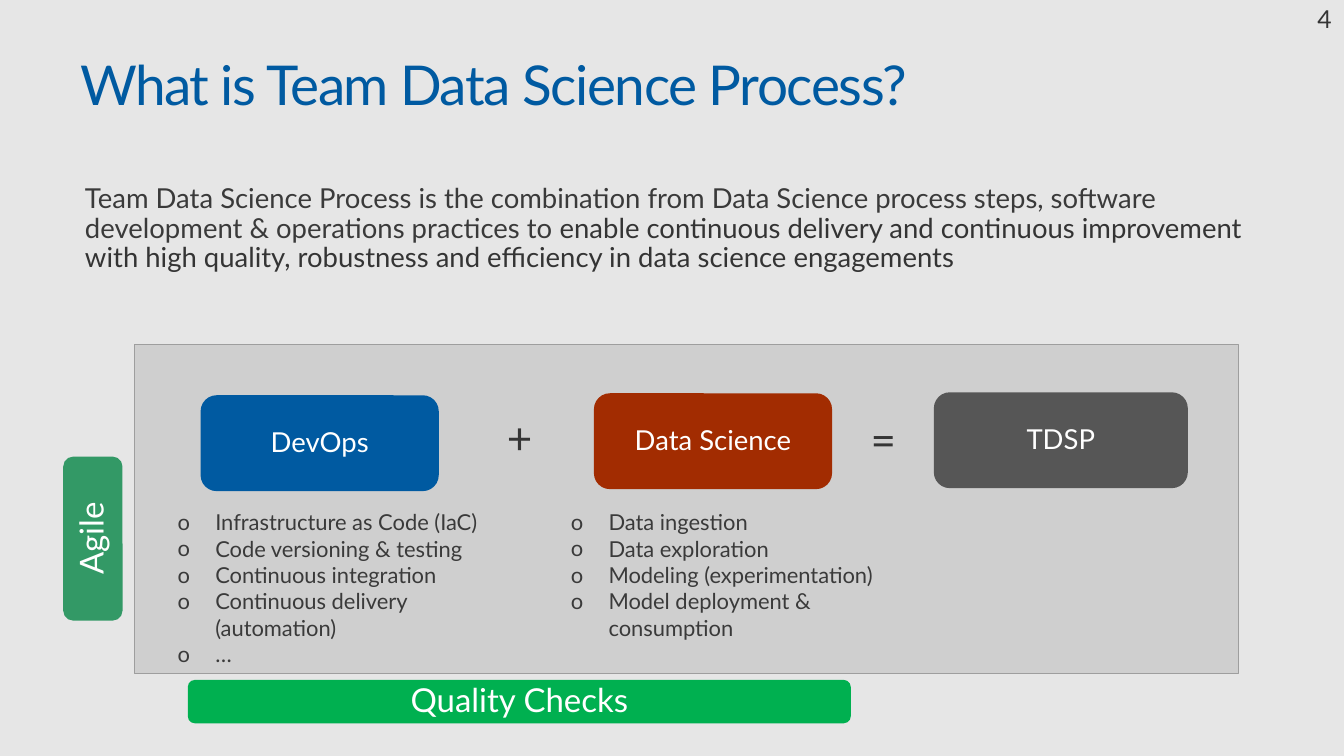
from lxml import etree
from pptx import Presentation
from pptx.dml.color import RGBColor
from pptx.enum.shapes import MSO_SHAPE
from pptx.enum.text import MSO_ANCHOR, PP_ALIGN
from pptx.oxml.ns import qn
from pptx.util import Inches, Pt

RECTANGLE = MSO_SHAPE.RECTANGLE
ROUNDED = MSO_SHAPE.ROUNDED_RECTANGLE
TOP, MIDDLE = MSO_ANCHOR.TOP, MSO_ANCHOR.MIDDLE
LEFT, CENTER = PP_ALIGN.LEFT, PP_ALIGN.CENTER

BACKGROUND = RGBColor(0xE6, 0xE6, 0xE6)
BLUE = RGBColor(0x00, 0x5A, 0xA1)
RUST = RGBColor(0xA2, 0x2C, 0x01)
GRAY = RGBColor(0x56, 0x56, 0x56)
TEAL = RGBColor(0x33, 0x99, 0x66)
GREEN = RGBColor(0x00, 0xB0, 0x50)
PANEL = RGBColor(0xCF, 0xCF, 0xCF)
PANEL_EDGE = RGBColor(0x9E, 0x9E, 0x9E)
TEXT = RGBColor(0x3A, 0x3A, 0x3A)
DARK_TEXT = RGBColor(0x34, 0x34, 0x34)
SYMBOL = RGBColor(0x35, 0x35, 0x35)
WHITE = RGBColor(0xFF, 0xFF, 0xFF)

FONT = "Lato"
WIDE_INSETS = (0.2, 0.16)
BODY_INSETS = (0.16, 0.1)
LIST_INSETS = (0.1, 0.05)


class SlideBuilder:
    """Holds the style and the current slide, and adds each kind of element."""

    def __init__(self, deck):
        self.slide = deck.slides.add_slide(deck.slide_layouts[5])
        fill = self.slide.background.fill
        fill.solid()
        fill.fore_color.rgb = BACKGROUND

    def frame(self, box, insets, anchor=TOP):
        frame = box.text_frame
        frame.word_wrap = True
        frame.vertical_anchor = anchor
        frame.margin_left = frame.margin_right = Inches(insets[0])
        frame.margin_top = frame.margin_bottom = Inches(insets[1])
        return frame

    def add_spans(self, para, spans, size, align=LEFT, spacing=0.9):
        para.alignment = align
        para.line_spacing = spacing
        for text, color in spans:
            span = para.add_run()
            span.text = text
            span.font.name = FONT
            span.font.size = Pt(size)
            span.font.color.rgb = color

    def title(self, text, left, top, width, height):
        box = self.slide.shapes.title
        box.left, box.top = Inches(left), Inches(top)
        box.width, box.height = Inches(width), Inches(height)
        para = self.frame(box, BODY_INSETS).paragraphs[0]
        self.add_spans(para, [(text, BLUE)], 40)
        para.runs[0].font._element.set("spc", "-100")

    def text(self, spans, size, left, top, width, height, insets=WIDE_INSETS):
        box = self.slide.shapes.add_textbox(
            Inches(left), Inches(top), Inches(width), Inches(height))
        self.add_spans(self.frame(box, insets).paragraphs[0], spans, size)

    def bullets(self, items, left, top, width, height):
        box = self.slide.shapes.add_textbox(
            Inches(left), Inches(top), Inches(width), Inches(height))
        frame = self.frame(box, LIST_INSETS)
        for index, item in enumerate(items):
            para = frame.add_paragraph() if index else frame.paragraphs[0]
            properties = para._p.get_or_add_pPr()
            properties.set("marL", str(Inches(0.38)))
            properties.set("indent", str(-Inches(0.38)))
            etree.SubElement(properties, qn("a:buFont")).set("typeface", FONT)
            etree.SubElement(properties, qn("a:buChar")).set("char", "o")
            self.add_spans(para, [(item, TEXT)], 16, spacing=1.0)

    def shape(self, kind, fill, left, top, width, height, line=None):
        box = self.slide.shapes.add_shape(
            kind, Inches(left), Inches(top), Inches(width), Inches(height))
        box.shadow.inherit = False
        box.fill.solid()
        box.fill.fore_color.rgb = fill
        if line is None:
            box.line.fill.background()
        else:
            box.line.color.rgb = line
            box.line.width = Pt(0.75)
        return box

    def label(self, text, fill, size, left, top, width, height, rotation=0):
        box = self.shape(ROUNDED, fill, left, top, width, height)
        box.rotation = rotation
        para = self.frame(box, WIDE_INSETS, MIDDLE).paragraphs[0]
        self.add_spans(para, [(text, WHITE)], size, CENTER)


def main():
    deck = Presentation()
    deck.slide_width, deck.slide_height = Inches(13.6), Inches(7.65)
    page = SlideBuilder(deck)

    page.title("What is Team Data Science Process?", 0.65, 0.49, 12.9, 1)
    page.text([
        ("Team Data Science Process is the combination from Data Science process "
         "steps, software development & operations practices to", TEXT),
        (" enable continuous delivery and continuous improvement with high "
         "quality, robustness and efficiency in data science engagements", DARK_TEXT),
    ], 20, 0.7, 1.77, 12.25, 1.48, BODY_INSETS)
    page.text([("4", SYMBOL)], 18, 13.13, -0.06, 0.54, 0.6)

    page.shape(RECTANGLE, PANEL, 1.36, 3.49, 11.17, 3.33, PANEL_EDGE)
    for name, fill, left, top, width in (
        ("DevOps", BLUE, 2.03, 4, 2.41),
        ("Data Science", RUST, 6.01, 3.98, 2.41),
        ("TDSP", GRAY, 9.45, 3.97, 2.57),
    ):
        page.label(name, fill, 20, left, top, width, 0.97)
    for sign, left, top in (("=", 8.61, 4.08), ("+", 4.93, 4.06)):
        page.text([(sign, SYMBOL)], 32, left, top, 1.08, 0.81)

    page.bullets([
        "Data ingestion",
        "Data exploration",
        "Modeling (experimentation)",
        "Model deployment & consumption",
    ], 5.68, 5.1, 3.76, 1.45)
    page.bullets([
        "Infrastructure as Code (IaC)",
        "Code versioning & testing",
        "Continuous integration",
        "Continuous delivery (automation)",
        "…",
    ], 1.7, 5.1, 3.78, 1.48)

    page.label("Agile", TEAL, 24, 0.11, 5.15, 1.66, 0.6, rotation=270)
    page.label("Quality Checks", GREEN, 24, 1.9, 6.88, 6.71, 0.44)

    deck.save("out.pptx")


if __name__ == "__main__":
    main()
